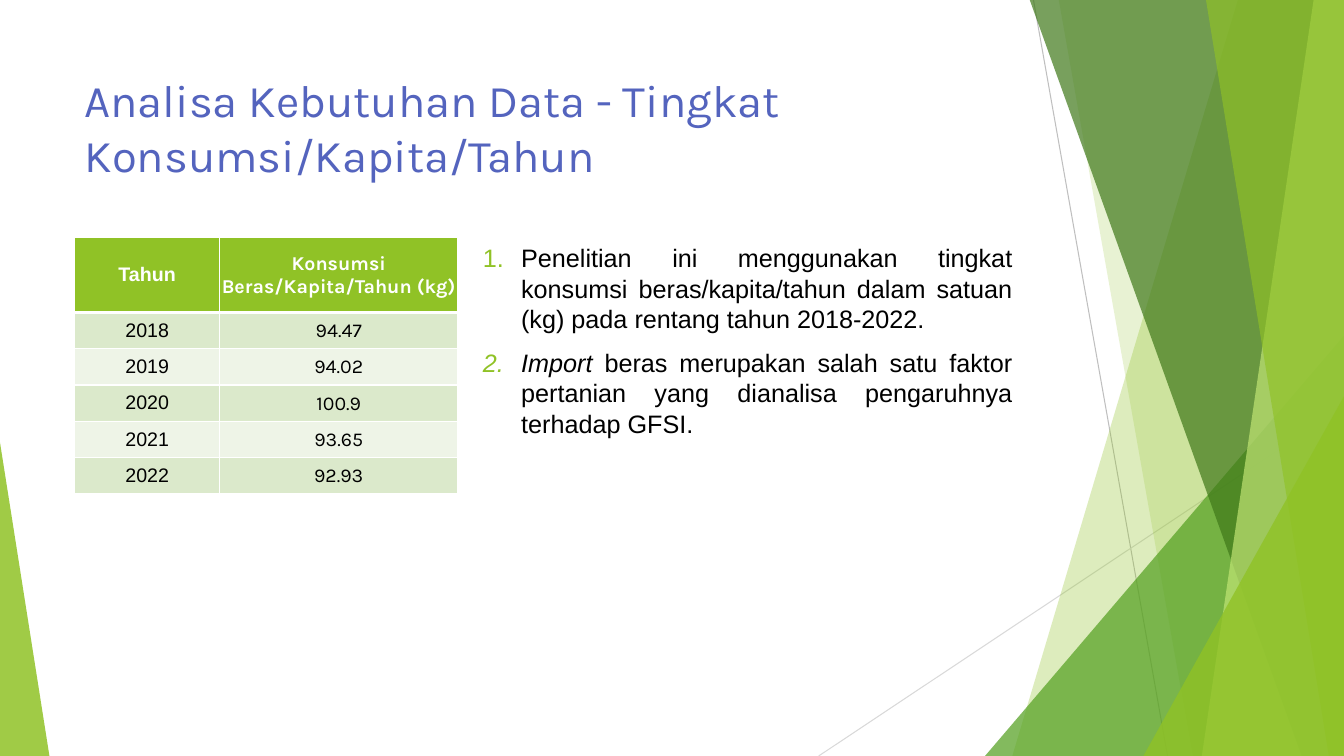
from dataclasses import dataclass

from lxml.etree import SubElement
from pptx import Presentation
from pptx.dml.color import RGBColor as RGB
from pptx.enum.shapes import MSO_CONNECTOR as Conn, MSO_SHAPE as Geo
from pptx.enum.text import MSO_ANCHOR as Anchor, PP_ALIGN as Align
from pptx.oxml.ns import qn
from pptx.util import Inches, Pt


@dataclass(frozen=True)
class Theme:
    lime: str = "90C226"
    green: str = "54A021"
    forest: str = "3F7819"
    pale: str = "C0E474"
    title: str = "5464BE"
    black: str = "000000"
    white: str = "FFFFFF"
    bands: tuple[str, str] = ("DBE9CB", "EEF4E7")
    heading_font: str = "Karla"
    body_font: str = "Arial"
    title_size: float = 32.4
    body_size: float = 18
    table_size: float = 14


@dataclass(frozen=True)
class Ray:
    start: tuple[float, float]
    end: tuple[float, float]
    color: str


@dataclass(frozen=True)
class Panel:
    top_left: float
    top_right: float
    bottom_right: float
    bottom_left: float
    color: str
    alpha: int


@dataclass(frozen=True)
class Wedge:
    left: float
    top: float
    width: float
    apex: float
    color: str
    alpha: int


T = Theme()
W, H = 13.33, 7.5
RAYS = [Ray((10.25, 0), (11.58, H), "BFBFBF"), Ray((W, 4.03), (8.12, H), "D9D9D9")]
FACETS = [
    Panel(12.28, W, W, 10.04, T.lime, 30),
    Panel(10.5, W, W, 11.83, T.lime, 20),
    Wedge(9.77, 3.33, 3.56, 1, T.green, 72),
    Panel(10.21, W, W, 12.91, T.forest, 70),
    Panel(13.03, W, W, 11.92, T.pale, 70),
    Panel(11.96, W, W, 13.18, T.lime, 65),
    Wedge(11.34, 3.93, 1.99, 1, T.lime, 80),
    Wedge(0, 4.39, 0.49, 0, T.lime, 85),
]
TITLE = "Analisa Kebutuhan Data - Tingkat Konsumsi/Kapita/Tahun"
POINTS = [
    [("Penelitian ini menggunakan tingkat konsumsi beras/kapita/tahun dalam satuan "
      "(kg) pada rentang tahun 2018-2022.", False)],
    [("Import ", True),
     ("beras merupakan salah satu faktor pertanian yang dianalisa pengaruhnya "
      "terhadap GFSI.", False)],
]
ROWS = [
    ("Tahun", "Konsumsi Beras/Kapita/Tahun (kg)"),
    ("2018", "94.47"),
    ("2019", "94.02"),
    ("2020", "100.9"),
    ("2021", "93.65"),
    ("2022", "92.93"),
]


def add_run(p, text: str, font: str, size: float, color: str,
            bold: bool = False, italic: bool = False) -> None:
    r = p.add_run()
    r.text = text
    r.font.name, r.font.size = font, Pt(size)
    r.font.bold, r.font.italic = bold, italic
    r.font.color.rgb = RGB.from_string(color)


def add_ray(s, ray: Ray) -> None:
    ends = [Inches(v) for v in ray.start + ray.end]
    line = s.shapes.add_connector(Conn.STRAIGHT, *ends)
    line.line.color.rgb = RGB.from_string(ray.color)
    line.line.width = Pt(0.75)
    SubElement(line._element.spPr, qn("a:effectLst"))


def add_facet(s, facet: Panel | Wedge) -> None:
    if isinstance(facet, Wedge):
        sp = s.shapes.add_shape(Geo.ISOSCELES_TRIANGLE, Inches(facet.left), Inches(facet.top),
                                Inches(facet.width), Inches(H - facet.top))
        sp.adjustments[0] = facet.apex
    else:
        top, bottom = Inches(-0.01), Inches(H)
        fb = s.shapes.build_freeform(Inches(facet.top_left), top)
        fb.add_line_segments([(Inches(facet.top_right), top),
                              (Inches(facet.bottom_right), bottom),
                              (Inches(facet.bottom_left), bottom)])
        sp = fb.convert_to_shape()
    sp.shadow.inherit = False
    sp.line.fill.background()
    sp.fill.solid()
    sp.fill.fore_color.rgb = RGB.from_string(facet.color)
    color = sp._element.spPr.find(f"{qn('a:solidFill')}/{qn('a:srgbClr')}")
    SubElement(color, qn("a:alpha"), val=str(facet.alpha * 1000))


def add_text_frame(s, left: float, top: float, width: float, height: float):
    tf = s.shapes.add_textbox(Inches(left), Inches(top), Inches(width), Inches(height)).text_frame
    tf.word_wrap = True
    return tf


def number_paragraph(p) -> None:
    pPr = p._p.get_or_add_pPr()
    pPr.set("marL", str(Inches(0.38)))
    pPr.set("indent", str(Inches(-0.38)))
    SubElement(SubElement(pPr, qn("a:buClr")), qn("a:srgbClr"), val=T.lime)
    SubElement(pPr, qn("a:buFont"), typeface=T.body_font)
    SubElement(pPr, qn("a:buAutoNum"), type="arabicPeriod")


def add_points(s) -> None:
    tf = add_text_frame(s, 4.69, 2.36, 5.45, 3.43)
    for i, runs in enumerate(POINTS):
        p = tf.add_paragraph() if i else tf.paragraphs[0]
        number_paragraph(p)
        p.alignment = Align.JUSTIFY
        if i:
            p.space_before = Pt(10)
        for text, italic in runs:
            add_run(p, text, T.body_font, T.body_size, T.black, italic=italic)


def set_borders(cell, header: bool) -> None:
    tcPr = cell._tc.get_or_add_tcPr()
    for side in ("L", "R", "T", "B"):
        width = Pt(3 if header and side == "B" else 1)
        ln = SubElement(tcPr, qn(f"a:ln{side}"), w=str(width))
        SubElement(SubElement(ln, qn("a:solidFill")), qn("a:srgbClr"), val=T.white)


def add_consumption_table(s) -> None:
    table = s.shapes.add_table(len(ROWS), 2, Inches(0.74), Inches(2.36),
                               Inches(3.8), Inches(2.54)).table
    for col, width in zip(table.columns, (1.44, 2.36)):
        col.width = Inches(width)
    for i, values in enumerate(ROWS):
        header = i == 0
        table.rows[i].height = Inches(0.74 if header else 0.36)
        for j, value in enumerate(values):
            cell = table.cell(i, j)
            set_borders(cell, header)
            cell.fill.solid()
            cell.fill.fore_color.rgb = RGB.from_string(T.lime if header else T.bands[(i - 1) % 2])
            cell.vertical_anchor = Anchor.MIDDLE
            if j == 1:
                cell.margin_left = cell.margin_right = cell.margin_top = Inches(0.01)
                cell.margin_bottom = 0
            p = cell.text_frame.paragraphs[0]
            p.alignment = Align.CENTER
            add_run(p, value, T.heading_font if j else T.body_font, T.table_size,
                    T.white if header else T.black, bold=header)


def main() -> None:
    prs = Presentation()
    prs.slide_width, prs.slide_height = Inches(W), Inches(H)
    s = prs.slides.add_slide(prs.slide_layouts[6])
    for ray in RAYS:
        add_ray(s, ray)
    for facet in FACETS:
        add_facet(s, facet)
    tf = add_text_frame(s, 0.74, 0.67, 9.4, 1.44)
    add_run(tf.paragraphs[0], TITLE, T.heading_font, T.title_size, T.title)
    add_points(s)
    add_consumption_table(s)
    prs.save("out.pptx")


if __name__ == "__main__":
    main()
